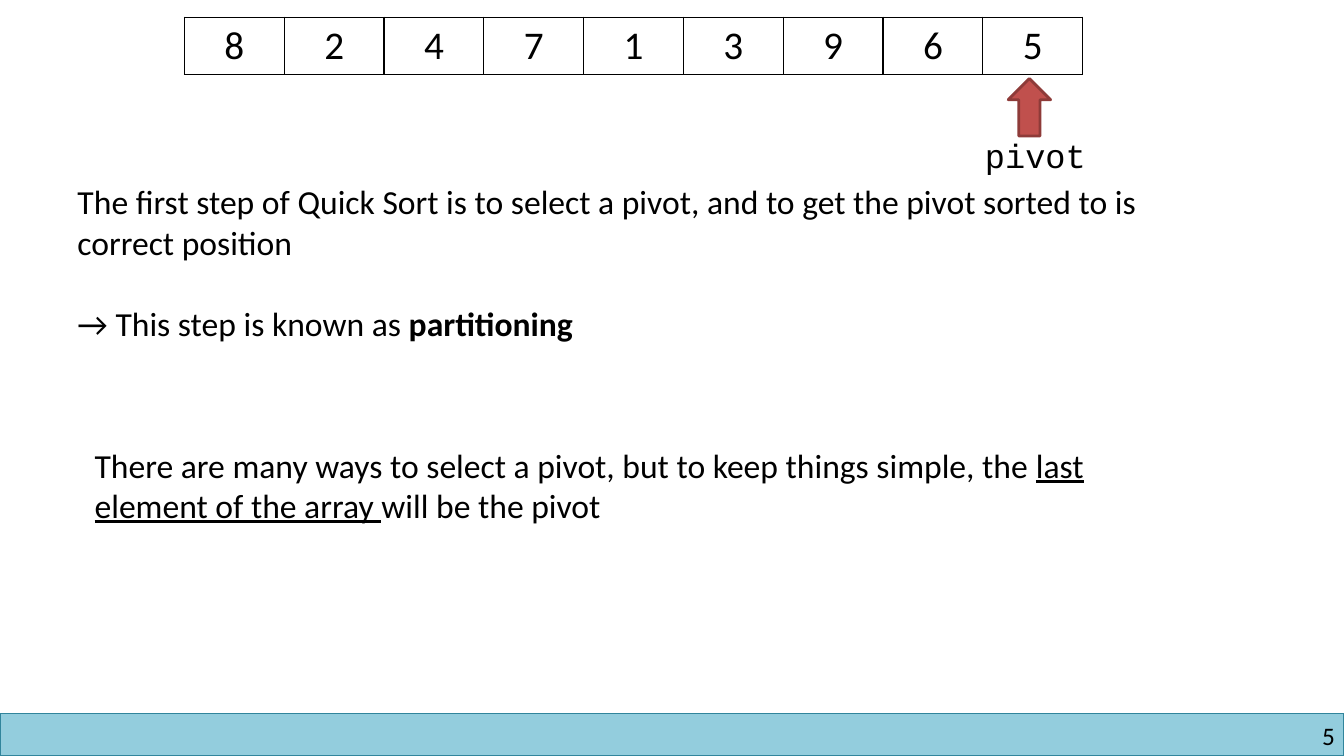
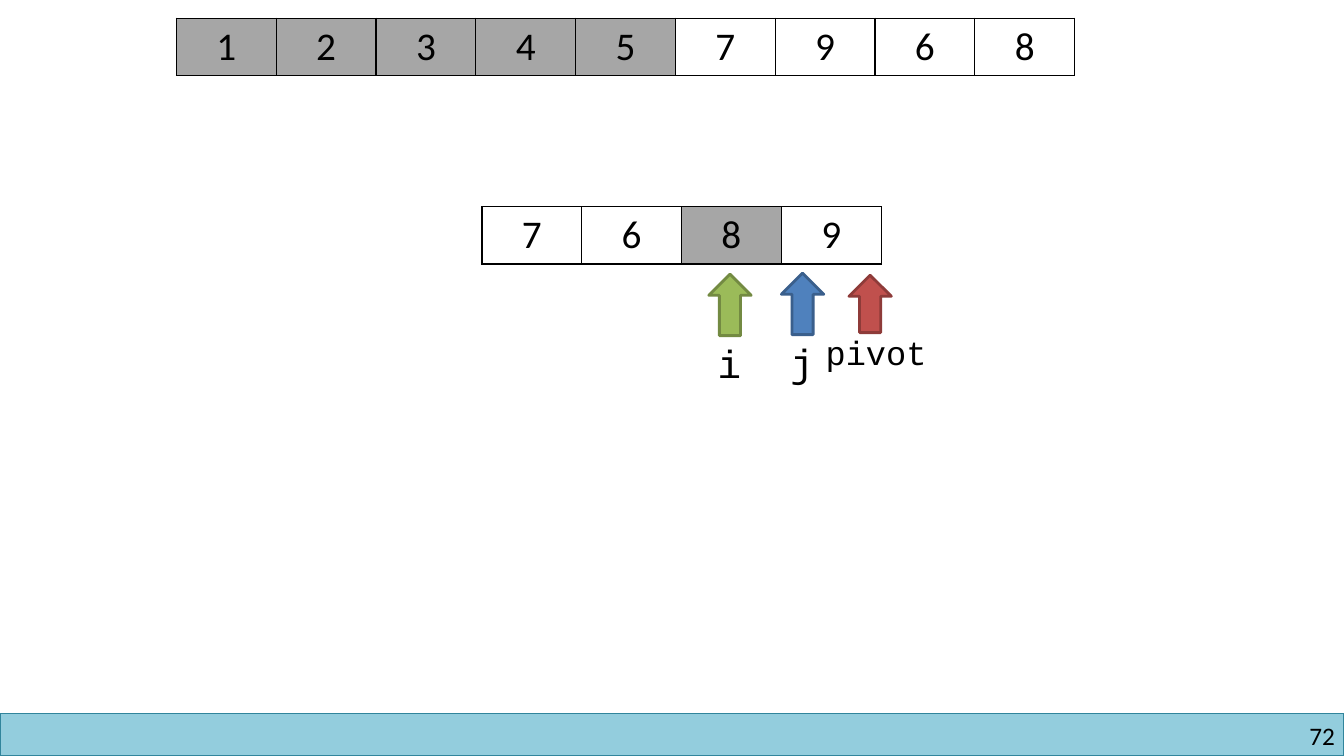
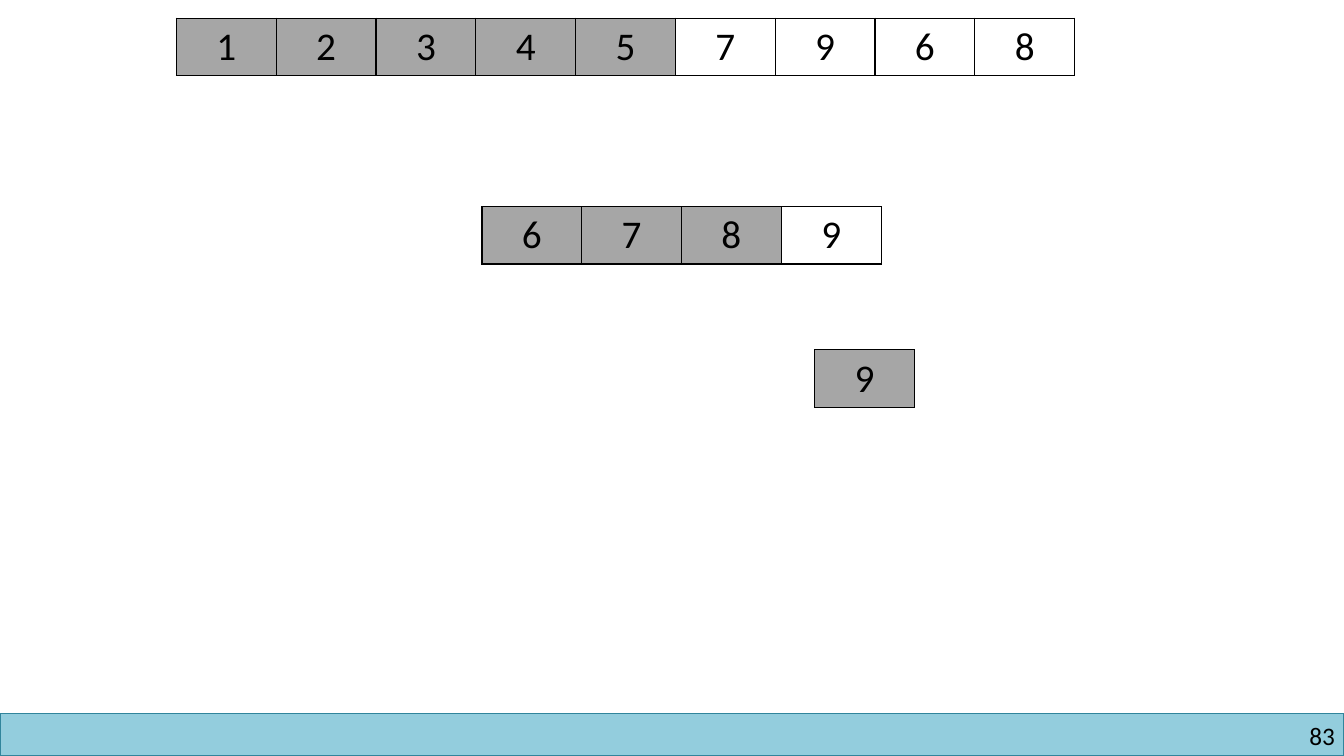
"""Build three slides that show steps of Quick Sort."""
from lxml import etree
from pptx import Presentation
from pptx.dml.color import RGBColor
from pptx.enum import shapes, text
from pptx.oxml import ns
from pptx.util import Inches, Pt

BLACK = RGBColor(0x00, 0x00, 0x00)
WHITE = RGBColor(0xFF, 0xFF, 0xFF)
GREY = RGBColor(0xA6, 0xA6, 0xA6)
BAND = RGBColor(0x93, 0xCD, 0xDD)
BAND_LINE = RGBColor(0x31, 0x85, 0x9C)
RED = RGBColor(0xC0, 0x50, 0x4D)
RED_LINE = RGBColor(0x8E, 0x3B, 0x39)
BLUE = RGBColor(0x4F, 0x81, 0xBD)
BLUE_LINE = RGBColor(0x3A, 0x5F, 0x8C)
GREEN = RGBColor(0x9B, 0xBB, 0x59)
GREEN_LINE = RGBColor(0x73, 0x8A, 0x42)

BODY = "Calibri"
CODE = "Courier New"
WIDTH, HEIGHT = 13.33, 7.5
BAND_TOP = 7.08
CELL_W, CELL_H = 0.99, 0.57
ARROW_W = 0.42


class Deck:
    def __init__(self):
        self.prs = Presentation()
        self.prs.slide_width = Inches(WIDTH)
        self.prs.slide_height = Inches(HEIGHT)
        self.s = None

    def slide(self, number):
        self.s = self.prs.slides.add_slide(self.prs.slide_layouts[6])
        self.shape(shapes.MSO_SHAPE.RECTANGLE, 0, BAND_TOP, WIDTH, HEIGHT - BAND_TOP,
                   BAND, BAND_LINE, 1)
        tf = self.text(10.17, 7.15, 3.07, 0.3, [[(str(number), "")]], size=18)
        tf.margin_left = tf.margin_right = tf.margin_top = tf.margin_bottom = 0
        tf.paragraphs[0].alignment = text.PP_ALIGN.RIGHT

    def shape(self, kind, x, y, w, h, fill, line, weight):
        sp = self.s.shapes.add_shape(kind, Inches(x), Inches(y), Inches(w), Inches(h))
        sp.shadow.inherit = False
        sp.fill.solid()
        sp.fill.fore_color.rgb = fill
        sp.line.color.rgb = line
        sp.line.width = Pt(weight)

    def run(self, p, words, style="", size=24, font=BODY):
        r = p.add_run()
        r.text = words
        r.font.name = font
        r.font.size = Pt(size)
        r.font.color.rgb = BLACK
        if style == "bold":
            r.font.bold = True
        if style == "underline":
            r.font.underline = True

    def text(self, x, y, w, h, paragraphs, size=24, font=BODY, wrap=True, gap=0):
        sp = self.s.shapes.add_textbox(Inches(x), Inches(y), Inches(w), Inches(h))
        tf = sp.text_frame
        tf.word_wrap = wrap
        tf.auto_size = text.MSO_AUTO_SIZE.SHAPE_TO_FIT_TEXT
        for i, runs in enumerate(paragraphs):
            p = tf.add_paragraph() if i else tf.paragraphs[0]
            if i:
                p.space_before = Pt(gap)
            for words, style in runs:
                self.run(p, words, style, size, font)
        return tf

    def border(self, cell):
        tcPr = cell._tc.get_or_add_tcPr()
        for side in ("a:lnL", "a:lnR", "a:lnT", "a:lnB"):
            ln = etree.SubElement(tcPr, ns.qn(side), w=str(Pt(1)))
            fill = etree.SubElement(ln, ns.qn("a:solidFill"))
            etree.SubElement(fill, ns.qn("a:srgbClr"), val=str(BLACK))

    def array(self, x, y, values, done=()):
        n = len(values)
        table = self.s.shapes.add_table(1, n, Inches(x), Inches(y),
                                        Inches(n * CELL_W), Inches(CELL_H)).table
        table.first_row = table.horz_banding = False
        for i, value in enumerate(values):
            table.columns[i].width = Inches(CELL_W)
            cell = table.cell(0, i)
            self.border(cell)
            cell.fill.solid()
            cell.fill.fore_color.rgb = GREY if i in done else WHITE
            p = cell.text_frame.paragraphs[0]
            p.alignment = text.PP_ALIGN.CENTER
            self.run(p, str(value), size=28)

    def arrow(self, x, y, h, fill, line):
        self.shape(shapes.MSO_SHAPE.UP_ARROW, x, y, ARROW_W, h, fill, line, 2)

    def pivot(self, x, y):
        self.arrow(x, y, 0.57, RED, RED_LINE)
        self.text(x - 0.33, y + 0.51, 1.21, 0.5, [[("pivot", "")]], font=CODE, wrap=False)

    def index(self, name, x, y, fill, line):
        self.arrow(x, y, 0.61, fill, line)
        self.text(x - 0.01, y + 0.6, 0.44, 0.57, [[(name, "")]], size=28, font=CODE, wrap=False)


def main():
    deck = Deck()

    deck.slide(5)
    deck.array(1.83, 0.17, [8, 2, 4, 7, 1, 3, 9, 6, 5])
    deck.text(0.67, 1.75, 11.21, 1.72, [
        [("The first step of Quick Sort is to select a pivot, and to get the pivot "
          "sorted to is correct position", "")],
        [("→ This step is known as ", ""), ("partitioning", "bold")],
    ], gap=29)
    deck.text(0.84, 4.36, 10.17, 0.91, [[
        ("There are many ways to select a pivot, but to keep things simple, the ", ""),
        ("last element of the array ", "underline"),
        ("will be the pivot", ""),
    ]])
    deck.pivot(10, 0.78)

    for number, right_half, done in ((72, [7, 6, 8, 9], {2}), (83, [6, 7, 8, 9], {0, 1, 2})):
        deck.slide(number)
        deck.array(1.75, 0.18, [1, 2, 3, 4, 5, 7, 9, 6, 8], range(5))
        deck.array(4.78, 2.05, right_half, done)
        if number == 72:
            deck.pivot(8.42, 2.73)
            deck.index("j", 7.75, 2.71, BLUE, BLUE_LINE)
            deck.index("i", 7.03, 2.72, GREEN, GREEN_LINE)
        else:
            deck.array(8.08, 3.47, [9], {0})

    deck.prs.save("out.pptx")


if __name__ == "__main__":
    main()
